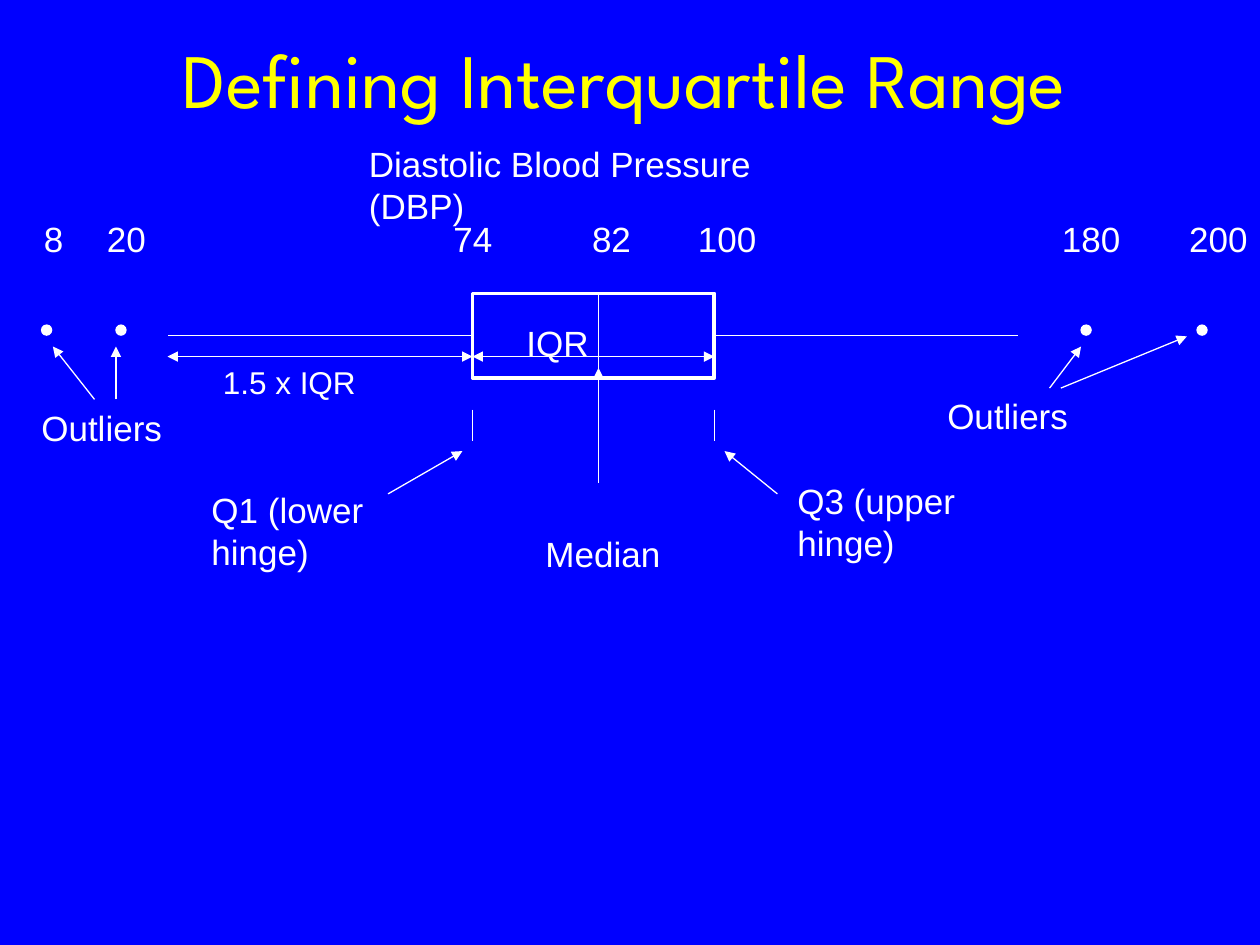
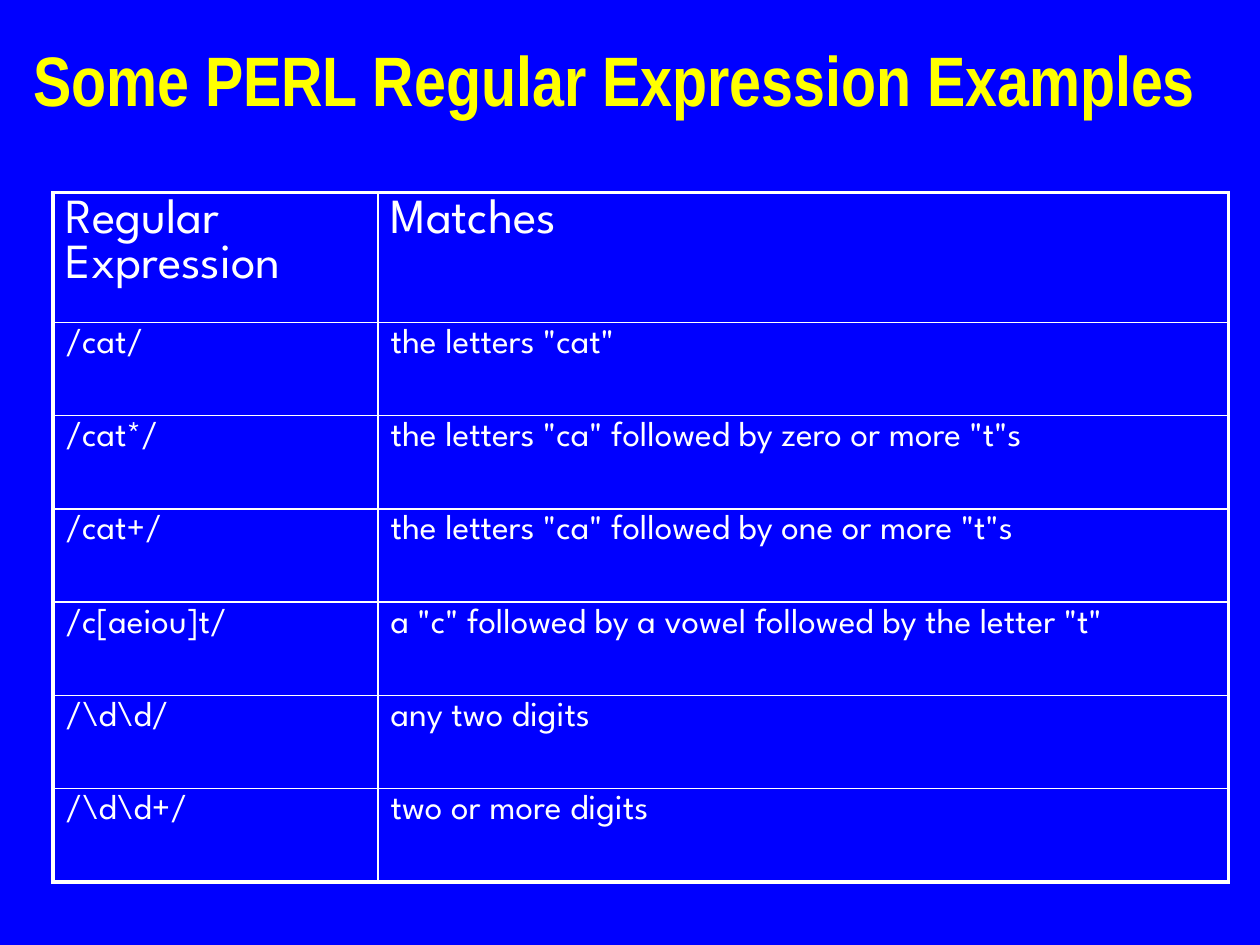
from pptx import Presentation
from pptx.dml.color import RGBColor
from pptx.enum.shapes import MSO_CONNECTOR as CONN, MSO_SHAPE as SHAPE
from pptx.enum.text import MSO_ANCHOR as ANCHOR, MSO_AUTO_SIZE as FIT, PP_ALIGN as ALIGN
from pptx.oxml import parse_xml
from pptx.oxml.ns import nsdecls, qn
from pptx.util import Inches, Pt
from lxml.etree import SubElement

COLORS = {"back": "0000FF", "title": "FFFF00", "ink": "FFFFFF"}
BODY, DISPLAY, NARROW = "Arial", "League Spartan", "Arial Narrow"
THIN, GRID, THICK = 0.75, 1, 2.25
Q1, MEDIAN, Q3 = 3.75, 4.75, 5.67
BOX_TOP, BOX_HEIGHT, DOT = 2.33, 0.67, 0.08
WHISKER_Y, SPAN_Y, VALUE_Y = 2.67, 2.83, 1.68
LOW_END, HIGH_END = 1.33, 8.08

VALUES = [("8", 0.25, 0.36), ("20", 0.75, 0.58), ("74", 3.5, 0.51), ("82", 4.6, 0.51),
          ("100", 5.44, 0.66), ("180", 8.33, 0.66), ("200", 9.34, 0.66)]
OUTLIERS = [0.33, 0.92, 8.58, 9.5]
POINTERS = [
    ((MEDIAN, 3.83), (MEDIAN, 2.92)),
    ((3.08, 3.92), (3.67, 3.58)),
    ((6.17, 3.92), (5.75, 3.58)),
    ((8.33, 3.08), (8.58, 2.75)),
    ((8.42, 3.08), (9.42, 2.67)),
    ((0.75, 3.17), (0.42, 2.75)),
    ((0.92, 3.17), (0.92, 2.75)),
]
LABELS = [("Median", 4.23, 4.18, 1.11), ("Outliers", 7.42, 3.08, 1.16),
          ("Outliers", 0.23, 3.18, 1.16), ("IQR", 4.08, 2.5, 0.69)]
WRAPPED_LABELS = [("Diastolic Blood Pressure (DBP)", 2.83, 1.08, 3.8),
                  ("Q1 (lower hinge)", 1.58, 3.83, 2),
                  ("Q3 (upper hinge)", 6.23, 3.76, 2)]
REGEX_ROWS = [
    ("Regular Expression", "Matches"),
    ("/cat/", 'the letters "cat"'),
    ("/cat*/", 'the letters "ca" followed by zero or more "t"s'),
    ("/cat+/", 'the letters "ca" followed by one or more "t"s'),
    ("/c[aeiou]t/", 'a "c" followed by a vowel followed by the letter "t"'),
    (r"/\d\d/", "any two digits"),
    (r"/\d\d+/", "two or more digits"),
]


def rgb(name):
    return RGBColor.from_string(COLORS[name])


def write(tf, text, size=20, font=BODY, color="ink", bold=False, align=ALIGN.LEFT):
    p = tf.paragraphs[0]
    p.alignment = align
    r = p.add_run()
    r.text = text
    r.font.size = Pt(size)
    r.font.name = font
    r.font.bold = bold
    r.font.color.rgb = rgb(color)


def add_titled_slide(prs, text, box, anchor, inset=None, **fmt):
    s = prs.slides.add_slide(prs.slide_layouts[5])
    s.background.fill.solid()
    s.background.fill.fore_color.rgb = rgb("back")
    sp = s.shapes.title
    sp.left, sp.top, sp.width, sp.height = map(Inches, box)
    tf = sp.text_frame
    tf.auto_size = FIT.NONE
    tf.vertical_anchor = anchor
    if inset is not None:
        tf.margin_left = tf.margin_right = tf.margin_top = tf.margin_bottom = Inches(inset)
    write(tf, text, color="title", align=ALIGN.CENTER, **fmt)
    return s


def add_label(s, text, x, y, w, wrap=False, size=20):
    sp = s.shapes.add_textbox(Inches(x), Inches(y), Inches(w), Inches(0.43))
    tf = sp.text_frame
    tf.word_wrap = wrap
    tf.auto_size = FIT.SHAPE_TO_FIT_TEXT
    tf.margin_right = Inches(0.05)
    write(tf, text, size=size)


def add_outline(s, kind, x, y, w, h, width, filled=False):
    sp = s.shapes.add_shape(kind, Inches(x), Inches(y), Inches(w), Inches(h))
    sp.shadow.inherit = False
    if filled:
        sp.fill.solid()
        sp.fill.fore_color.rgb = rgb("ink")
    else:
        sp.fill.background()
    sp.line.color.rgb = rgb("ink")
    sp.line.width = Pt(width)
    return sp


def add_line(s, start, end, arrows=()):
    c = s.shapes.add_connector(CONN.STRAIGHT, *map(Inches, start + end))
    c.line.color.rgb = rgb("ink")
    c.line.width = Pt(THIN)
    ln = c.line._get_or_add_ln()
    for tag in arrows:
        SubElement(ln, qn(f"a:{tag}"), type="triangle")
    SubElement(ln.getparent(), qn("a:effectLst"))
    return c


def set_borders(cell, widths):
    tc_pr = cell._tc.get_or_add_tcPr()
    for i, (side, width) in enumerate(widths.items()):
        tc_pr.insert(i, parse_xml(
            f'<a:ln{side} {nsdecls("a")} w="{Pt(width)}"><a:solidFill>'
            f'<a:srgbClr val="{COLORS["ink"]}"/></a:solidFill></a:ln{side}>'))


def add_grid(s, rows, x, y, col_widths, row_heights):
    frame = s.shapes.add_table(len(rows), len(col_widths), Inches(x), Inches(y),
                               Inches(sum(col_widths)), Inches(sum(row_heights)))
    table = frame.table
    table.first_row = table.horz_banding = False
    for col, width in zip(table.columns, col_widths):
        col.width = Inches(width)
    last_row, last_col = len(rows) - 1, len(col_widths) - 1
    for i, texts in enumerate(rows):
        table.rows[i].height = Inches(row_heights[i])
        for j, text in enumerate(texts):
            cell = table.cell(i, j)
            cell.fill.background()
            if i:
                cell.margin_bottom = 0
            write(cell.text_frame, text, size=20 if i else 28, font=DISPLAY)
            edges = {"L": j == 0, "R": j == last_col, "T": i == 0, "B": i == last_row}
            set_borders(cell, {side: THICK if outer else GRID for side, outer in edges.items()})


def build_range_slide(prs):
    s = add_titled_slide(prs, "Defining Interquartile Range", (0.67, 0.23, 8.58, 0.75),
                         ANCHOR.BOTTOM, inset=0, size=44, font=DISPLAY)
    box = add_outline(s, SHAPE.RECTANGLE, Q1, BOX_TOP, Q3 - Q1, BOX_HEIGHT, THICK)
    add_line(s, (MEDIAN, BOX_TOP), (MEDIAN, BOX_TOP + BOX_HEIGHT))
    for hinge, end, side in ((Q1, LOW_END, 1), (Q3, HIGH_END, 3)):
        whisker = add_line(s, (hinge, WHISKER_Y), (end, WHISKER_Y))
        whisker.begin_connect(box, side)
        whisker.end_y = whisker.begin_y
        add_line(s, (hinge, 3.25), (hinge, 3.5))
    for left, right in ((LOW_END, Q1), (Q1, Q3)):
        add_line(s, (left, SPAN_Y), (right, SPAN_Y), ("headEnd", "tailEnd"))
    for start, end in POINTERS:
        add_line(s, start, end, ("tailEnd",))
    for x in OUTLIERS:
        add_outline(s, SHAPE.OVAL, x, 2.58, DOT, DOT, THIN, filled=True)
    for text, x, w in VALUES:
        add_label(s, text, x, VALUE_Y, w)
    for label in LABELS:
        add_label(s, *label)
    for label in WRAPPED_LABELS:
        add_label(s, *label, wrap=True)
    add_label(s, "1.5 x IQR", 1.67, SPAN_Y, 1.26, size=18)


def build_regex_slide(prs):
    s = add_titled_slide(prs, "Some PERL Regular Expression Examples", (0, 0, 9.75, 1.25),
                         ANCHOR.MIDDLE, size=40, font=NARROW, bold=True)
    heights = [1.03] + [0.74] * (len(REGEX_ROWS) - 1)
    add_grid(s, REGEX_ROWS, 0.42, 1.53, (2.58, 6.75), heights)


def main():
    prs = Presentation()
    prs.slide_width, prs.slide_height = Inches(10), Inches(7.5)
    build_range_slide(prs)
    build_regex_slide(prs)
    prs.save("out.pptx")


if __name__ == "__main__":
    main()
